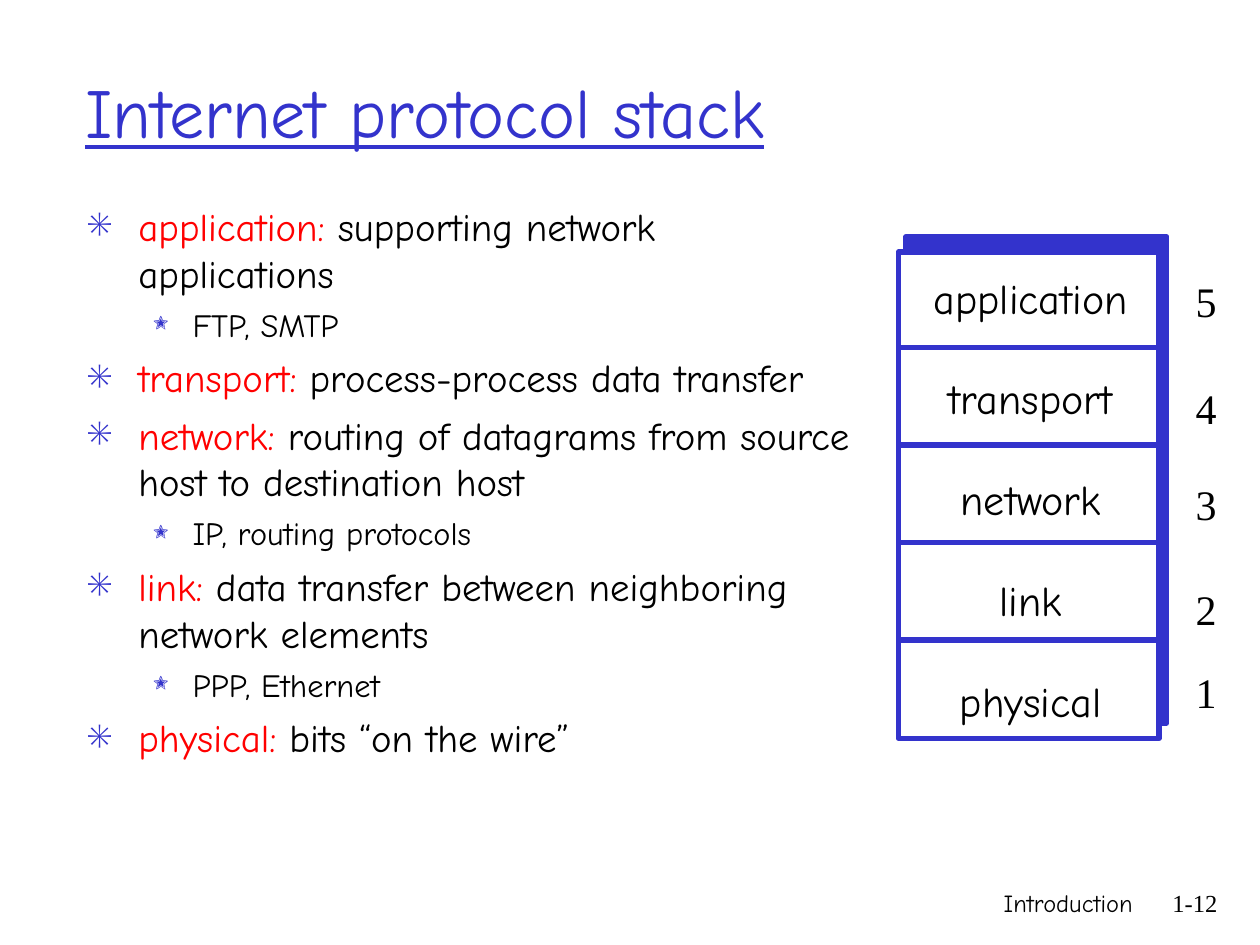
from lxml import etree
from pptx import Presentation
from pptx.dml.color import RGBColor
from pptx.enum.shapes import MSO_CONNECTOR as CONN, MSO_SHAPE as SHAPE
from pptx.enum.text import MSO_ANCHOR as ANCHOR, PP_ALIGN as ALIGN
from pptx.oxml.ns import qn
from pptx.util import Inches, Pt

BLUE, RED, BLACK, WHITE = "3333CC", "FF0000", "000000", "FFFFFF"
COMIC, TIMES = "Comic Neue", "Times New Roman"


def rgb(color):
    return RGBColor.from_string(color)


def add_run(p, text, size, font=COMIC, color=BLACK):
    r = p.add_run()
    r.text = text
    r.font.size = Pt(size)
    r.font.name = font
    r.font.color.rgb = rgb(color)
    return r


prs = Presentation()
prs.slide_width, prs.slide_height = Inches(10), Inches(7.5)
s = prs.slides.add_slide(prs.slide_layouts[6])

# Footer and slide number
for text, font, left, width in [("Introduction", COMIC, 5.92, 3.17),
                                ("1-12", TIMES, 9.08, 0.68)]:
    tf = s.shapes.add_textbox(Inches(left), Inches(7), Inches(width), Inches(0.5)).text_frame
    tf.word_wrap = True
    p = tf.paragraphs[0]
    p.alignment = ALIGN.RIGHT
    add_run(p, text, 14, font)

# Title
tf = s.shapes.add_textbox(Inches(0.58), Inches(0.25), Inches(8.5), Inches(1.25)).text_frame
tf.word_wrap = True
tf.vertical_anchor = ANCHOR.MIDDLE
add_run(tf.paragraphs[0], "Internet protocol stack", 40, color=BLUE).font.underline = True

# Bulleted layer descriptions: (layer name, description), examples have no name
items = [
    ("application:", " supporting network applications"),
    ("", "FTP, SMTP"),
    ("transport:", " process-process data transfer"),
    ("network:", " routing of datagrams from source host to destination host"),
    ("", "IP, routing protocols"),
    ("link:", " data transfer between neighboring network elements"),
    ("", "PPP, Ethernet"),
    ("physical:", " bits “on the wire”"),
]
tf = s.shapes.add_textbox(Inches(0.62), Inches(1.56), Inches(6.25), Inches(5.08)).text_frame
tf.word_wrap = True
for i, (name, text) in enumerate(items):
    p = tf.paragraphs[0] if i == 0 else tf.add_paragraph()
    if name:
        size, space, margin, hang, bullet, percent = 22.2, 6, 0.38, 0.38, "❑", 85
        add_run(p, name, size, color=RED)
    else:
        size, space, margin, hang, bullet, percent = 18.5, 5, 0.81, 0.31, "❍", 75
        p.level = 1
    add_run(p, text, size)
    p.space_before = Pt(space)
    pPr = p._p.get_or_add_pPr()
    pPr.set("marL", str(Inches(margin)))
    pPr.set("indent", str(-Inches(hang)))
    bu_color = etree.SubElement(pPr, qn("a:buClr"))
    etree.SubElement(bu_color, qn("a:srgbClr"), val=BLUE)
    etree.SubElement(pPr, qn("a:buSzPct"), val=str(percent * 1000))
    etree.SubElement(pPr, qn("a:buFont"), typeface="ZapfDingbats")
    etree.SubElement(pPr, qn("a:buChar"), char=bullet)

# Stack: blue backing box and white front box
for left, top, fill in [(7.19, 1.88, BLUE), (7.13, 2, WHITE)]:
    sp = s.shapes.add_shape(SHAPE.RECTANGLE, Inches(left), Inches(top), Inches(2.07), Inches(3.86))
    sp.shadow.inherit = False
    sp.fill.solid()
    sp.fill.fore_color.rgb = rgb(fill)
    sp.line.color.rgb = rgb(BLUE)
    sp.line.width = Pt(3)

# Layer names
tf = s.shapes.add_textbox(Inches(7.31), Inches(2.11), Inches(1.74), Inches(3.7)).text_frame
tf.word_wrap = False
for i, layer in enumerate(["application", "transport", "network", "link", "physical"]):
    p = tf.paragraphs[0] if i == 0 else tf.add_paragraph()
    p.alignment = ALIGN.CENTER
    if i:
        p.space_before = Pt(28.8)
    add_run(p, layer, 24)

# Dividers between layers
for i in range(4):
    y = Inches(2.76 + 0.773 * i)
    line = s.shapes.add_connector(CONN.STRAIGHT, Inches(7.12), y, Inches(9.18), y)
    line.line.color.rgb = rgb(BLUE)
    line.line.width = Pt(3)
    etree.SubElement(line._element.spPr, qn("a:effectLst"))

# Layer numbers
for number, top in zip("54321", [2.14, 2.99, 3.75, 4.58, 5.24]):
    tf = s.shapes.add_textbox(Inches(9.39), Inches(top), Inches(0.36), Inches(0.5)).text_frame
    tf.word_wrap = False
    add_run(tf.paragraphs[0], number, 24, TIMES)

prs.save("out.pptx")
